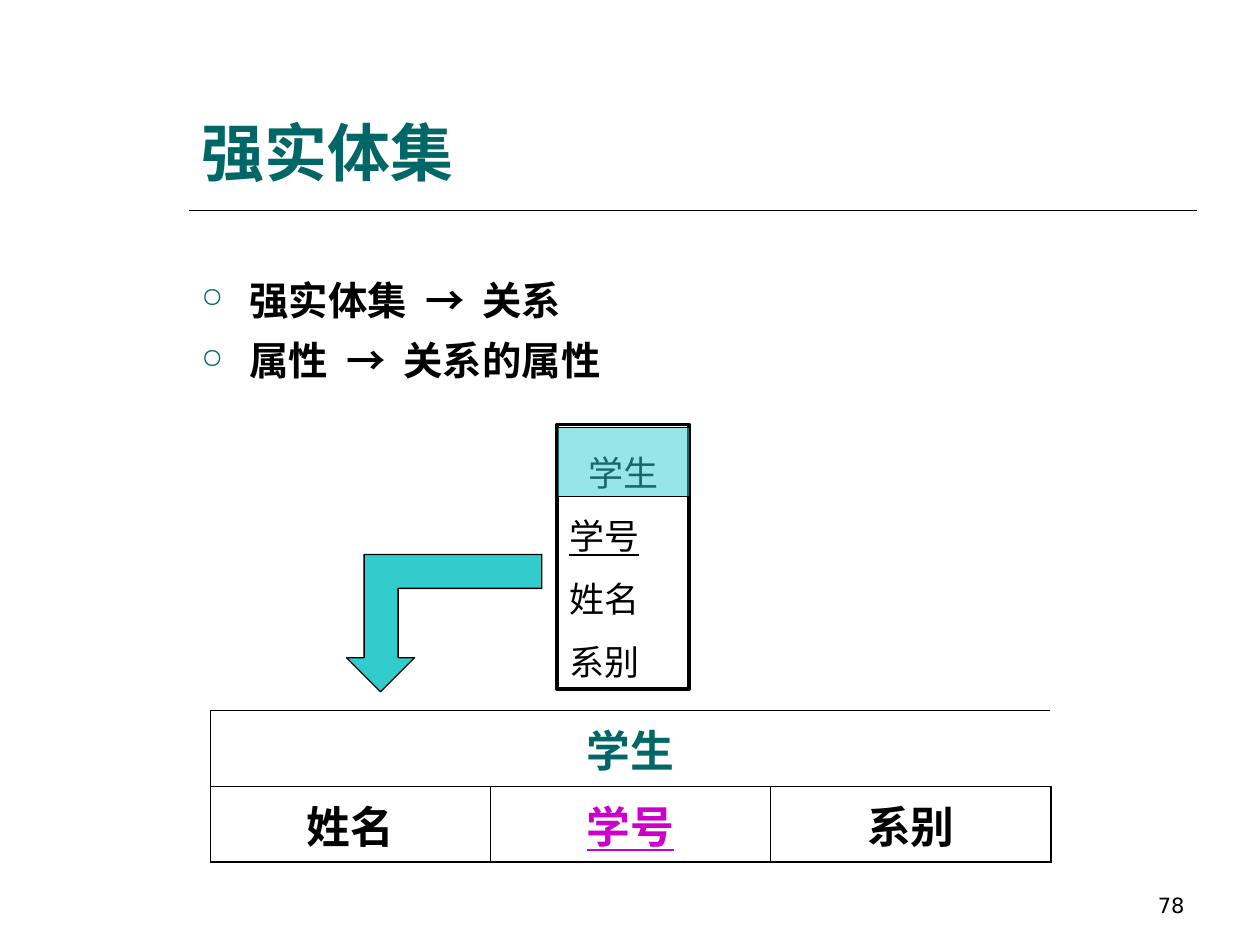
import pptx
import pptx.util
import pptx.dml.color
import pptx.enum.text
import pptx.enum.shapes
import pptx.oxml
from pptx.oxml.ns import qn

Inches, Pt = pptx.util.Inches, pptx.util.Pt
ALIGN = pptx.enum.text.PP_ALIGN
ANCHOR = pptx.enum.text.MSO_ANCHOR
AUTO = pptx.enum.text.MSO_AUTO_SIZE
RECT = pptx.enum.shapes.MSO_SHAPE.RECTANGLE
STRAIGHT = pptx.enum.shapes.MSO_CONNECTOR.STRAIGHT

COLORS = {"ink": "000000", "teal": "006666", "aqua": "33CCCC", "key": "CC00CC"}
TITLE = "强实体集"
BULLETS = [("强实体集  ", "→", "  关系"), ("属性  ", "→", "  关系的属性")]
ENTITY = "学生"
KEY = "学号"
ENTITY_FIELDS = [KEY, "姓名", "系别"]
TABLE_FIELDS = ["姓名", KEY, "系别"]
PAGE = "78"
ARROW = [(4.3, 4.67), (3.16, 4.67), (3.16, 5.22), (3.29, 5.22), (3.02, 5.49),
         (2.75, 5.22), (2.89, 5.22), (2.89, 4.4), (4.3, 4.4)]


def rgb(name):
    return pptx.dml.color.RGBColor.from_string(COLORS[name])


def add_text(p, text, size=20, font="DejaVu Sans", color="ink", bold=False,
             underline=False, align=ALIGN.LEFT):
    p.alignment = align
    r = p.add_run()
    r.text = text
    f = r.font
    f.size, f.name, f.bold, f.underline = Pt(size), font, bold, underline
    f.color.rgb = rgb(color)


def add_xml(parent, xml):
    ns = 'xmlns:a="http://schemas.openxmlformats.org/drawingml/2006/main"'
    parent.append(pptx.oxml.parse_xml(xml.replace(" ", f" {ns} ", 1)))


def add_box(s, left, top, width, height, anchor=ANCHOR.TOP):
    tf = s.shapes.add_textbox(Inches(left), Inches(top), Inches(width), Inches(height)).text_frame
    tf.word_wrap, tf.vertical_anchor = True, anchor
    return tf


def style_shape(sp, fill=None, line=0.75):
    sp.shadow.inherit = False
    if fill:
        sp.fill.solid()
        sp.fill.fore_color.rgb = rgb(fill)
    else:
        sp.fill.background()
    sp.line.color.rgb = rgb("ink")
    sp.line.width = Pt(line)


def add_border(cell, side, width):
    add_xml(cell._tc.get_or_add_tcPr(),
            f'<a:ln{side} w="{int(Pt(width))}"><a:solidFill><a:srgbClr val="{COLORS["ink"]}"/>'
            f'</a:solidFill></a:ln{side}>')


def add_heading(s):
    sp = s.shapes.title
    sp.left, sp.top, sp.width, sp.height = Inches(1.5), Inches(0.43), Inches(7.98), Inches(1.12)
    tf = sp.text_frame
    tf.auto_size, tf.vertical_anchor = AUTO.NONE, ANCHOR.BOTTOM
    add_text(tf.paragraphs[0], TITLE, size=36, font="Arial", color="teal", bold=True)
    rule = s.shapes.add_connector(STRAIGHT, Inches(1.5), Inches(1.67), Inches(9.5), Inches(1.67))
    rule.line.color.rgb = rgb("ink")
    rule.line.width = Pt(1)
    add_xml(rule._element.spPr, "<a:effectLst />")


def add_bullets(s):
    tf = add_box(s, 1.5, 2.14, 7.89, 1.01)
    for i, parts in enumerate(BULLETS):
        p = tf.add_paragraph() if i else tf.paragraphs[0]
        if i:
            p.space_before = Pt(7.3)
        pPr = p._p.get_or_add_pPr()
        indent = int(Inches(0.38))
        pPr.set("marL", str(indent))
        pPr.set("indent", str(-indent))
        add_xml(pPr, f'<a:buClr ><a:srgbClr val="{COLORS["teal"]}"/></a:buClr>')
        add_xml(pPr, '<a:buSzPct val="70000"/>')
        add_xml(pPr, '<a:buChar char="○"/>')
        for text in parts:
            add_text(p, text, size=22.5, font="Arial" if text == "→" else "DejaVu Sans", bold=True)


def add_relation(s):
    cols, row_height = len(TABLE_FIELDS), 0.6
    table = s.shapes.add_table(2, cols, Inches(1.67), Inches(5.64),
                               Inches(6.67), Inches(2 * row_height)).table
    table.first_row = table.horz_banding = False
    table.cell(0, 0).merge(table.cell(0, cols - 1))
    for i in range(2):
        table.rows[i].height = Inches(row_height)
        for j in range(cols):
            cell = table.cell(i, j)
            cell.vertical_anchor = ANCHOR.MIDDLE
            edges = [("L", j == 0), ("R", j == cols - 1), ("T", i == 0), ("B", i == 1)]
            for side, outer in edges:
                if outer or i == 1 or side == "B":
                    add_border(cell, side, 1.08 if outer else 0.45)
            cell.fill.background()
    cells = [(0, 0, ENTITY, "teal")]
    cells += [(1, j, t, "key" if t == KEY else "ink") for j, t in enumerate(TABLE_FIELDS)]
    for i, j, text, color in cells:
        add_text(table.cell(i, j).text_frame.paragraphs[0], text, size=25, color=color,
                 bold=True, underline=text == KEY, align=ALIGN.CENTER)


def add_entity(s):
    sp = s.shapes.add_shape(RECT, Inches(4.42), Inches(3.37), Inches(1.05), Inches(2.1))
    style_shape(sp, line=2)
    tf = sp.text_frame
    tf.word_wrap, tf.vertical_anchor, tf.auto_size = True, ANCHOR.TOP, AUTO.SHAPE_TO_FIT_TEXT
    for i, text in enumerate([ENTITY] + ENTITY_FIELDS):
        p = tf.add_paragraph() if i else tf.paragraphs[0]
        p.line_spacing = 1.5
        add_text(p, text, font="Times New Roman", underline=text == KEY,
                 align=ALIGN.LEFT if i else ALIGN.CENTER)
    header = s.shapes.add_shape(RECT, Inches(4.42), Inches(3.39), Inches(1.05), Inches(0.55))
    style_shape(header, fill="aqua")
    clr = header._element.spPr.find(qn("a:solidFill")).find(qn("a:srgbClr"))
    add_xml(clr, '<a:alpha val="50000"/>')


def add_arrow(s):
    points = [(Inches(x), Inches(y)) for x, y in ARROW]
    builder = s.shapes.build_freeform(*points[0])
    builder.add_line_segments(points[1:], close=True)
    style_shape(builder.convert_to_shape(), fill="aqua")


def main():
    prs = pptx.Presentation()
    prs.slide_width, prs.slide_height = Inches(10), Inches(7.5)
    s = prs.slides.add_slide(prs.slide_layouts[5])
    add_heading(s)
    tf = add_box(s, 7.17, 6.83, 2.33, 0.5, ANCHOR.BOTTOM)
    add_text(tf.paragraphs[0], PAGE, size=12, align=ALIGN.RIGHT)
    add_bullets(s)
    add_relation(s)
    add_entity(s)
    add_arrow(s)
    prs.save("out.pptx")


if __name__ == "__main__":
    main()
